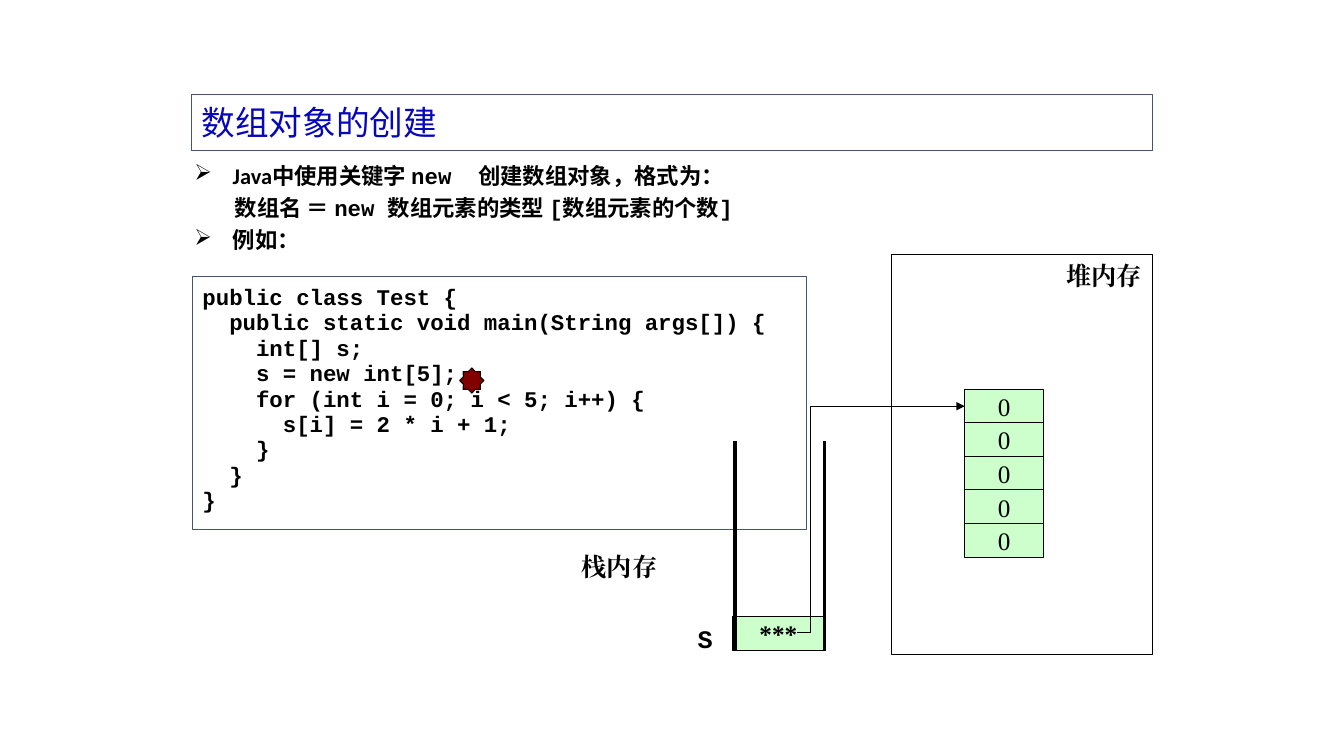
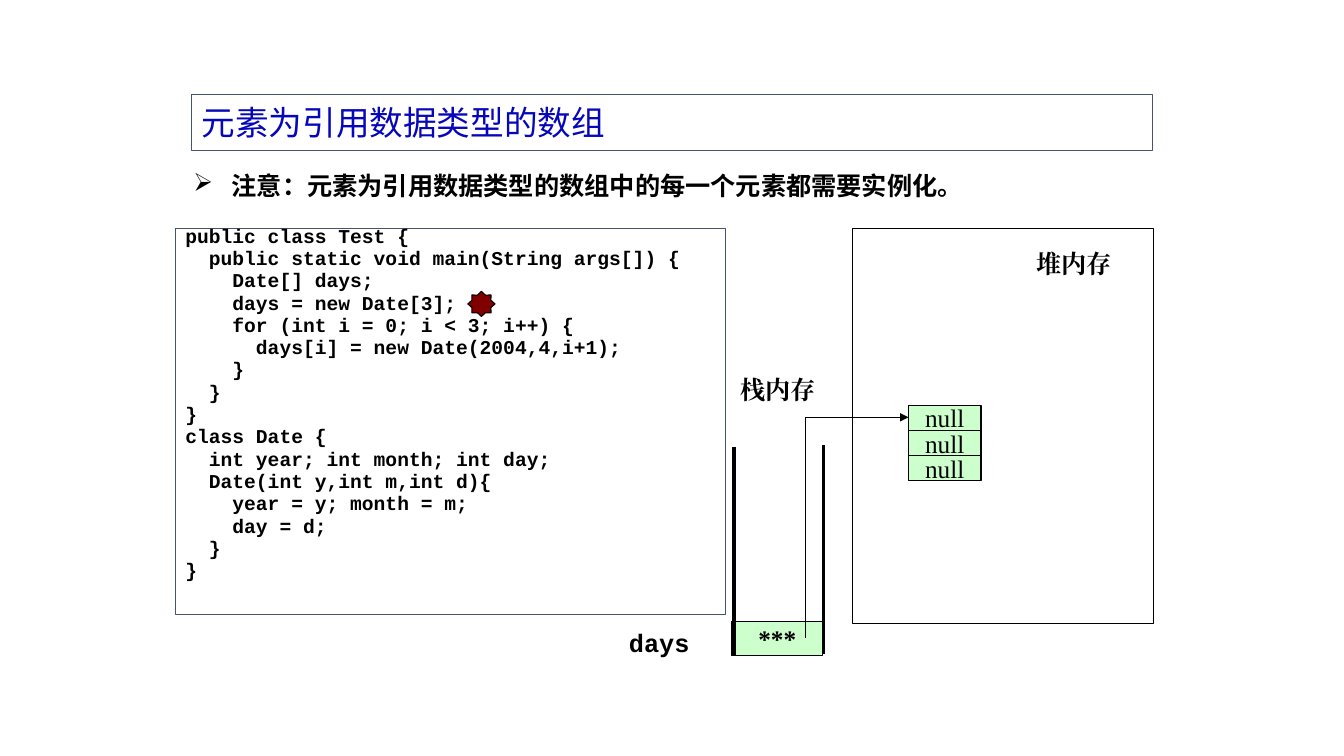
from dataclasses import dataclass

from lxml import etree
from pptx import Presentation
from pptx import util as u
from pptx.dml.color import RGBColor
from pptx.enum import shapes, text
from pptx.oxml.ns import qn

COLORS = {"white": "FFFFFF", "black": "000000", "title": "0606BA",
          "frame": "44546A", "cell": "CCFFCC", "star": "800000"}
CJK, SANS, SERIF, MONO = "Noto Sans CJK SC", "Calibri", "Times New Roman", "Courier New"
Box = tuple[float, float, float, float]
Point = tuple[float, float]


@dataclass(frozen=True)
class Style:
    font: str
    size: float
    bold: bool = True
    color: str = "black"
    align: text.PP_ALIGN = text.PP_ALIGN.LEFT
    before: float = 0
    spacing: float = 1.0


@dataclass(frozen=True)
class Bullet:
    runs: tuple[tuple[str, str], ...]  # font, words
    marked: bool = True


@dataclass(frozen=True)
class Label:
    words: str
    box: Box
    style: Style


@dataclass(frozen=True)
class Stack:
    left: float
    top: float  # of the cell holding the reference
    right_lift: float = 0


@dataclass(frozen=True)
class Heap:
    box: Box
    first_cell: Box
    step: float
    values: tuple[str, ...]


@dataclass(frozen=True)
class Arrow:
    start: Point
    end: Point
    bend: float  # share of the width before the turn


@dataclass(frozen=True)
class ArraySlide:
    title: str
    bullets: tuple[Bullet, ...]
    bullet_box: Box
    bullet_size: float
    code: str
    code_box: Box
    code_style: Style
    code_inset: float
    labels: tuple[Label, ...]
    stack: Stack
    heap: Heap
    star: Box
    arrow: Arrow


TITLE = Style(CJK, 24, bold=False, color="title")
HEADING = Style(SERIF, 18, align=text.PP_ALIGN.CENTER)
VARIABLE = Style(MONO, 18)
VALUE = Style(SERIF, 18, bold=False, align=text.PP_ALIGN.CENTER)


def rgb(name: str) -> RGBColor:
    return RGBColor.from_string(COLORS[name])


def inches(values: Box) -> list[u.Length]:
    return [u.Inches(value) for value in values]


def format_paragraph(paragraph, style: Style) -> None:
    paragraph.alignment = style.align
    paragraph.line_spacing = style.spacing
    paragraph.space_before = u.Pt(style.before)
    font = paragraph.font
    font.size, font.bold = u.Pt(style.size), style.bold
    font.color.rgb = rgb(style.color)
    font.name = style.font
    defaults = paragraph._p.pPr.find(qn("a:defRPr"))
    etree.SubElement(defaults, qn("a:ea"), typeface=style.font)


def write(shape, words: str, style: Style, anchor=text.MSO_ANCHOR.TOP, wrap: bool = True) -> None:
    frame = shape.text_frame
    frame.text = words
    frame.word_wrap, frame.vertical_anchor = wrap, anchor
    frame.auto_size = text.MSO_AUTO_SIZE.NONE
    for paragraph in frame.paragraphs:
        format_paragraph(paragraph, style)


def add_box(slide, box: Box, fill: str, line: str = "black",
            kind=shapes.MSO_SHAPE.RECTANGLE):
    shape = slide.shapes.add_shape(kind, *inches(box))
    shape.shadow.inherit = False
    shape.fill.solid()
    shape.fill.fore_color.rgb = rgb(fill)
    shape.line.color.rgb = rgb(line)
    shape.line.width = u.Pt(0.75)
    return shape


def add_cell(slide, box: Box, words: str, bold: bool = False) -> None:
    style = HEADING if bold else VALUE
    write(add_box(slide, box, "cell"), words, style, text.MSO_ANCHOR.MIDDLE, wrap=False)


def add_line(slide, start: Point, end: Point, width: float,
             kind=shapes.MSO_CONNECTOR.STRAIGHT):
    line = slide.shapes.add_connector(kind, *inches(start + end))
    line.line.color.rgb = rgb("black")
    line.line.width = u.Pt(width)
    etree.SubElement(line._element.spPr, qn("a:effectLst"))
    return line


def add_title(slide, words: str) -> None:
    title = slide.shapes.title
    title.left, title.top, title.width, title.height = inches((1.9, 0.94, 9.53, 0.55))
    title.line.color.rgb = rgb("frame")
    title.line.width = u.Pt(0.75)
    write(title, words, TITLE, text.MSO_ANCHOR.MIDDLE)


def add_bullets(slide, bullets: tuple[Bullet, ...], box: Box, size: float) -> None:
    frame = slide.shapes.add_textbox(*inches(box)).text_frame
    frame.word_wrap = True
    for index, bullet in enumerate(bullets):
        paragraph = frame.add_paragraph() if index else frame.paragraphs[0]
        properties = paragraph._p.get_or_add_pPr()
        margin, indent = (0.38, -0.38) if bullet.marked else (0.4, 0)
        properties.set("marL", str(u.Inches(margin)))
        properties.set("indent", str(u.Inches(indent)))
        if bullet.marked:
            color = etree.SubElement(properties, qn("a:buClr"))
            etree.SubElement(color, qn("a:srgbClr"), val=COLORS["black"])
            etree.SubElement(properties, qn("a:buChar"), char="➢")
        format_paragraph(paragraph, Style(SANS, size, before=size * 0.24))
        for font, words in bullet.runs:
            run = paragraph.add_run()
            run.text, run.font.name = words, font


def add_code(slide, content: ArraySlide) -> None:
    shape = add_box(slide, content.code_box, "white", "frame")
    write(shape, content.code, content.code_style)
    shape.text_frame.margin_top = u.Inches(content.code_inset)


def add_stack(slide, stack: Stack) -> None:
    add_cell(slide, (stack.left, stack.top, 0.9, 0.33), "***", bold=True)
    for offset, lift in ((0.02, 0), (0.91, stack.right_lift)):
        x, y = stack.left + offset, stack.top - lift
        add_line(slide, (x, y - 1.74), (x, y + 0.34), 2.25)


def add_heap(slide, heap: Heap) -> None:
    add_box(slide, heap.box, "white")
    left, top, width, height = heap.first_cell
    for row, value in enumerate(heap.values):
        add_cell(slide, (left, top + row * heap.step, width, height), value)


def add_arrow(slide, arrow: Arrow) -> None:
    line = add_line(slide, arrow.start, arrow.end, 0.75, shapes.MSO_CONNECTOR.ELBOW)
    properties = line._element.spPr
    etree.SubElement(properties.find(qn("a:ln")), qn("a:tailEnd"), type="triangle")
    geometry = properties.find(qn("a:prstGeom"))
    guides = geometry.find(qn("a:avLst"))
    if guides is None:
        guides = etree.SubElement(geometry, qn("a:avLst"))
    etree.SubElement(guides, qn("a:gd"), name="adj1", fmla=f"val {round(arrow.bend * 100000)}")


def add_array_slide(presentation, content: ArraySlide) -> None:
    slide = presentation.slides.add_slide(presentation.slide_layouts[5])
    add_title(slide, content.title)
    add_bullets(slide, content.bullets, content.bullet_box, content.bullet_size)
    add_code(slide, content)
    add_heap(slide, content.heap)
    for label in content.labels:
        write(slide.shapes.add_textbox(*inches(label.box)), label.words, label.style)
    star = add_box(slide, content.star, "star", kind=shapes.MSO_SHAPE.STAR_8_POINT)
    star.adjustments[0] = 0.38
    add_stack(slide, content.stack)
    add_arrow(slide, content.arrow)


# Code listings
INT_CODE = """public class Test {
  public static void main(String args[]) {
    int[] s;
    s = new int[5];
    for (int i = 0; i < 5; i++) {
      s[i] = 2 * i + 1;
    }
  }
}"""
DATE_CODE = """public class Test {
  public static void main(String args[]) {
    Date[] days;
    days = new Date[3];
    for (int i = 0; i < 3; i++) {
      days[i] = new Date(2004,4,i+1);
    }
  }
}
class Date {
  int year; int month; int day;
  Date(int y,int m,int d){
    year = y; month = m;
    day = d;
  }
}"""

# Slide contents
SLIDES = (
    ArraySlide(
        title="数组对象的创建",
        bullets=(
            Bullet(((SANS, "Java中使用关键字 "), (MONO, "new  "),
                    (SANS, "创建数组对象，格式为："))),
            Bullet(((MONO, "数组名 ＝ new 数组元素的类型 [数组元素的个数]"),), marked=False),
            Bullet(((SANS, "例如："),)),
        ),
        bullet_box=(1.83, 1.56, 6.02, 1.03), bullet_size=16,
        code=INT_CODE, code_box=(1.91, 2.74, 6.09, 2.51),
        code_style=Style(MONO, 16, before=8.6, spacing=0.5), code_inset=0.18,
        labels=(Label("堆内存", (10.38, 2.53, 1.14, 0.4), HEADING),
                Label("栈内存", (5.58, 5.42, 1.13, 0.4), HEADING),
                Label("S", (6.82, 6.13, 0.36, 0.4), VARIABLE)),
        stack=Stack(7.27, 6.12),
        heap=Heap((8.84, 2.53, 2.59, 3.96), (9.57, 3.86, 0.78, 0.34), 1 / 3, ("0",) * 5),
        star=(4.56, 3.65, 0.24, 0.25),
        arrow=Arrow((7.91, 6.28), (9.57, 4.03), 0.08),
    ),
    ArraySlide(
        title="元素为引用数据类型的数组",
        bullets=(Bullet(((SANS, "注意：元素为引用数据类型的数组中的每一个元素都需要实例化。"),)),),
        bullet_box=(1.82, 1.64, 8.76, 0.52), bullet_size=18,
        code=DATE_CODE, code_box=(1.74, 2.27, 5.46, 3.83),
        code_style=Style(MONO, 14, before=7.5, spacing=0.5), code_inset=0.05,
        labels=(Label("堆内存", (10, 2.41, 1.31, 0.4), HEADING),
                Label("栈内存", (7.06, 3.66, 1.31, 0.4), HEADING),
                Label("days", (6.14, 6.17, 1.03, 0.4), VARIABLE)),
        stack=Stack(7.26, 6.17, right_lift=0.02),
        heap=Heap((8.46, 2.27, 2.98, 3.92), (9.01, 4.02, 0.72, 0.25), 0.25, ("null",) * 3),
        star=(4.64, 2.89, 0.27, 0.25),
        arrow=Arrow((7.99, 6.33), (9.01, 4.14), 0),
    ),
)

presentation = Presentation()
presentation.slide_width, presentation.slide_height = u.Inches(13.33), u.Inches(7.5)
for content in SLIDES:
    add_array_slide(presentation, content)
presentation.save("out.pptx")
